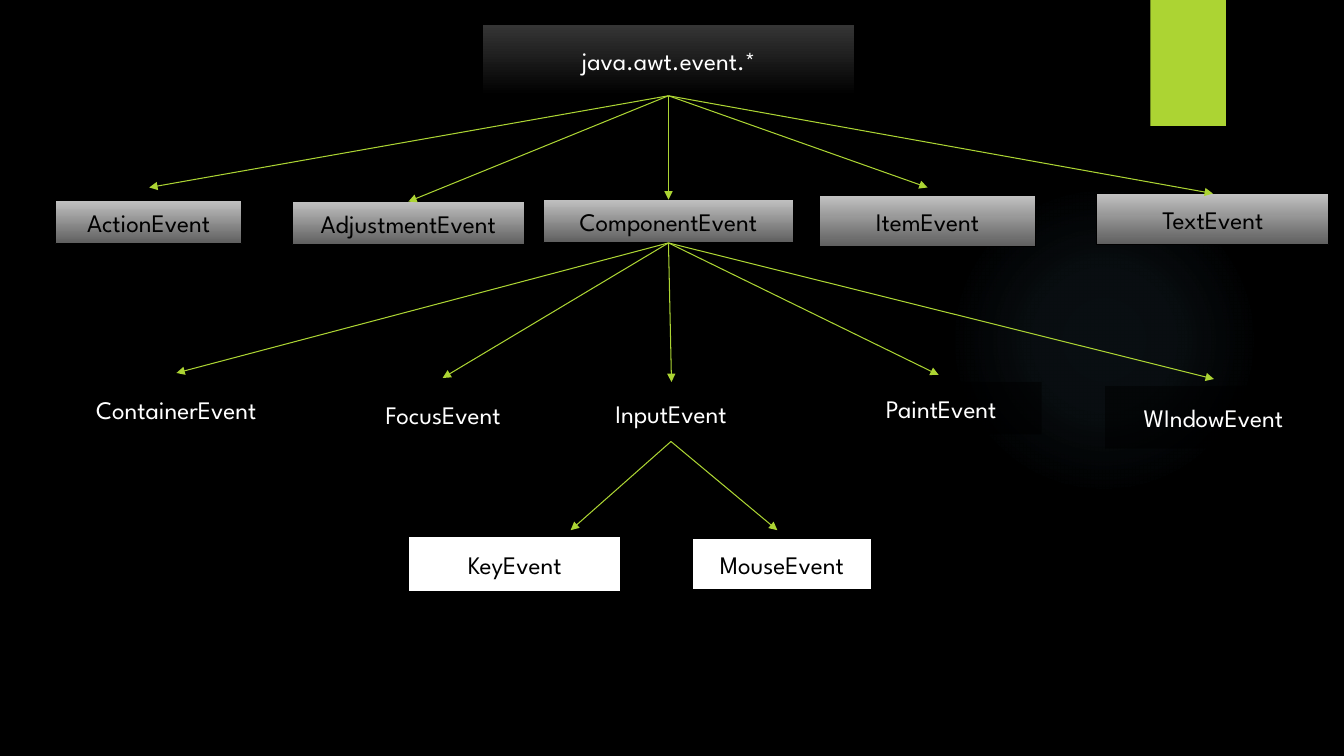
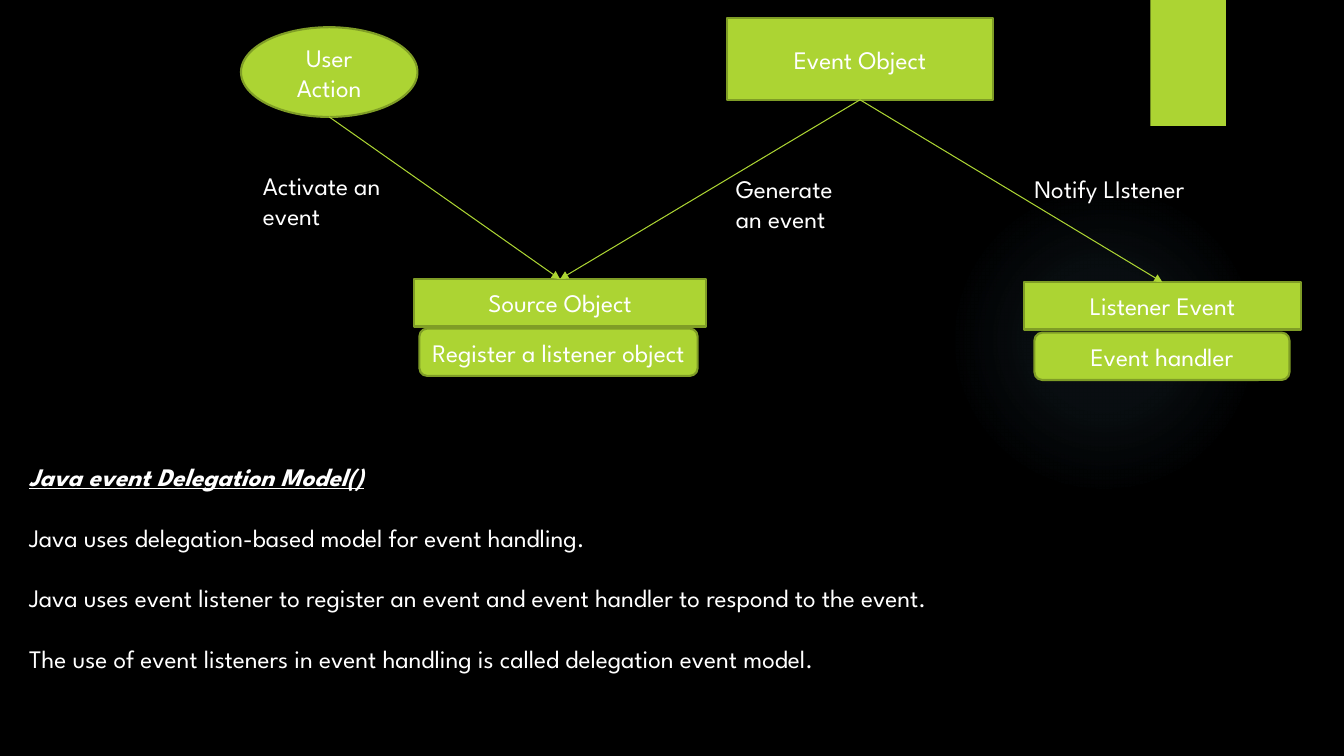
from lxml import etree
from pptx import Presentation
from pptx import util as u
from pptx.dml.color import RGBColor
from pptx.enum import shapes, text
from pptx.oxml import parse_xml
from pptx.oxml.ns import nsdecls, qn

FONT = "League Spartan"
COLORS = {
    "black": "000000", "white": "FFFFFF", "lime": "ACD433", "olive": "7F9D26", "glow": "7AC4F0",
    "charcoal": "353535", "silver": "C1C1C1", "gray": "5E5E5E",
}
KINDS = {
    "rect": shapes.MSO_SHAPE.RECTANGLE,
    "oval": shapes.MSO_SHAPE.OVAL,
    "round": shapes.MSO_SHAPE.ROUNDED_RECTANGLE,
}
STYLES = {
    "root": {"fill": ("charcoal", "black"), "font": "white"},
    "event": {"fill": ("silver", "gray"), "line": ("black", 0.75), "font": "black"},
    "component": {"fill": ("black",), "alpha": 50, "font": "white"},
    "input": {"fill": ("white",), "line": ("black", 1.5), "font": "black"},
    "model": {"fill": ("lime",), "line": ("olive", 1.5), "font": "white"},
    "band": {"fill": ("lime",), "font": "white"},
}
GLOW_BOX = (9.41, 1.83, 3.08, 3.08)
GLOW_STOPS = [(0, 7), (36, 6), (69, 0)]
BAND_BOX = (11.41, 0, 0.75, 1.25)

ROOT = ("java.awt.event.*", (4.79, 0.25, 3.68, 0.7))
TIERS = [
    ("java.awt.event.*", "event", [
        ("ActionEvent", (0.55, 1.99, 1.85, 0.43), (1.48, 1.86)),
        ("AdjustmentEvent", (2.9, 2, 2.3, 0.43), None),
        ("ComponentEvent", (5.39, 1.98, 2.48, 0.43), None),
        ("ItemEvent", (8.13, 1.94, 2.14, 0.51), (9.2, 1.86)),
        ("TextEvent", (10.88, 1.92, 2.3, 0.51), None),
    ]),
    ("ComponentEvent", "component", [
        ("ContainerEvent", (0.58, 3.79, 2.34, 0.55), (1.75, 3.7)),
        ("FocusEvent", (3.47, 3.84, 1.85, 0.55), (4.39, 3.75)),
        ("InputEvent", (5.85, 3.83, 1.61, 0.55), (6.66, 3.79)),
        ("PaintEvent", (8.34, 3.79, 1.99, 0.52), (9.31, 3.72)),
        ("WIndowEvent", (10.96, 3.83, 2.15, 0.62), (12.04, 3.76)),
    ]),
    ("InputEvent", "input", [
        ("KeyEvent", (4.05, 5.32, 2.11, 0.55), (5.66, 5.26)),
        ("MouseEvent", (6.86, 5.34, 1.79, 0.51), (7.71, 5.26)),
    ]),
]

MODEL = [
    ("User Action", "oval", (2.39, 0.27, 1.75, 0.89)),
    ("Event Object", "rect", (7.21, 0.18, 2.64, 0.81)),
    ("Source Object", "rect", (4.11, 2.77, 2.89, 0.47)),
    ("Listener Event", "rect", (10.16, 2.8, 2.74, 0.47)),
    ("Register a listener object", "round", (4.16, 3.26, 2.76, 0.47)),
    ("Event handler", "round", (10.26, 3.3, 2.53, 0.47)),
]
MODEL_ARROWS = [
    ("User Action", "Source Object"),
    ("Event Object", "Source Object"),
    ("Event Object", "Listener Event"),
]
LABELS = [
    ("Activate an event", (2.51, 1.64, 1.51, 0.71)),
    ("Generate an event", (7.2, 1.67, 1.44, 0.71)),
    ("Notify LIstener", (10.16, 1.67, 2.27, 0.4)),
]
NOTES_BOX = (0.19, 4.53, 12.78, 2.52)
NOTES = [
    ("Java event Delegation Model()", {"bold": True, "italic": True, "underline": True}),
    ("Java uses delegation-based model for event handling.", {}),
    ("Java uses event listener to register an event and event handler to respond to the event.", {}),
    ("The use of event listeners in event handling is called delegation event model.", {}),
]


def rgb(name):
    return RGBColor.from_string(COLORS[name])


def inches(box):
    return [u.Inches(v) for v in box]


def write(p, words, color="white", **formats):
    r = p.add_run()
    r.text = words
    r.font.color.rgb = rgb(color)
    for key, value in {"name": FONT, "size": u.Pt(18), **formats}.items():
        setattr(r.font, key, value)


def add_box(s, box, style, words="", kind="rect"):
    look = STYLES[style]
    sp = s.shapes.add_shape(KINDS[kind], *inches(box))
    sp.shadow.inherit = False
    if len(look["fill"]) == 2:
        sp.fill.gradient()
        sp.fill.gradient_angle = 270
        for stop, name in zip(sp.fill.gradient_stops, look["fill"]):
            stop.color.rgb = rgb(name)
    else:
        sp.fill.solid()
        sp.fill.fore_color.rgb = rgb(look["fill"][0])
    if "alpha" in look:
        color = sp.element.spPr.find(".//" + qn("a:srgbClr"))
        etree.SubElement(color, qn("a:alpha")).set("val", str(look["alpha"] * 1000))
    if "line" in look:
        name, width = look["line"]
        sp.line.color.rgb = rgb(name)
        sp.line.width = u.Pt(width)
    else:
        sp.line.fill.background()
    if words:
        tf = sp.text_frame
        tf.vertical_anchor = text.MSO_ANCHOR.MIDDLE
        p = tf.paragraphs[0]
        p.alignment = text.PP_ALIGN.CENTER
        write(p, words, look["font"])
    return sp


def add_text(s, box, lines, gap=0):
    tf = s.shapes.add_textbox(*inches(box)).text_frame
    tf.word_wrap = True
    for i, (words, formats) in enumerate(lines):
        p = tf.add_paragraph() if i else tf.paragraphs[0]
        p.space_before = u.Pt(gap if i else 0)
        write(p, words, **formats)


def add_arrow(s, start, end, tip=None):
    x1, y1 = start.left + start.width // 2, start.top + start.height
    x2, y2 = inches(tip) if tip else (end.left + end.width // 2, end.top)
    c = s.shapes.add_connector(shapes.MSO_CONNECTOR.STRAIGHT, x1, y1, x2, y2)
    if start.auto_shape_type == KINDS["rect"]:
        c.begin_connect(start, 2)
    if not tip:
        c.end_connect(end, 0)
    c.line.color.rgb = rgb("lime")
    c.line.width = u.Pt(0.75)
    spPr = c.element.spPr
    etree.SubElement(spPr.find(qn("a:ln")), qn("a:tailEnd")).set("type", "triangle")
    etree.SubElement(spPr, qn("a:effectLst"))


def add_glow(s):
    sp = add_box(s, GLOW_BOX, "band", kind="oval")
    stops = "".join(
        f'<a:gs pos="{pos * 1000}"><a:srgbClr val="{COLORS["glow"]}">'
        f'<a:alpha val="{alpha * 1000}"/></a:srgbClr></a:gs>'
        for pos, alpha in GLOW_STOPS)
    spPr = sp.element.spPr
    spPr.replace(spPr.find(qn("a:solidFill")), parse_xml(
        f'<a:gradFill {nsdecls("a")}><a:gsLst>{stops}</a:gsLst><a:path path="circle">'
        '<a:fillToRect l="50000" t="50000" r="50000" b="50000"/></a:path></a:gradFill>'))
    return sp


def style_master(master, s):
    fill = master.background.fill
    fill.solid()
    fill.fore_color.rgb = rgb("black")
    for sp in (add_glow(s), add_box(s, BAND_BOX, "band")):
        master.shapes.element.append(sp.element)


def build_hierarchy(s):
    name, box = ROOT
    nodes = {name: add_box(s, box, "root", name)}
    for _, style, children in TIERS:
        for name, box, _ in children:
            nodes[name] = add_box(s, box, style, name)
    for parent, _, children in TIERS:
        for name, _, tip in children:
            add_arrow(s, nodes[parent], nodes[name], tip)


def build_model(s):
    nodes = {name: add_box(s, box, "model", name, kind) for name, kind, box in MODEL}
    for start, end in MODEL_ARROWS:
        add_arrow(s, nodes[start], nodes[end])
    for words, box in LABELS:
        add_text(s, box, [(words, {})])
    add_text(s, NOTES_BOX, NOTES, gap=21.6)


def main():
    prs = Presentation()
    prs.slide_width, prs.slide_height = inches((13.33, 7.5))
    blank = prs.slide_layouts[6]
    hierarchy, model = [prs.slides.add_slide(blank) for _ in range(2)]
    style_master(prs.slide_master, hierarchy)
    build_hierarchy(hierarchy)
    build_model(model)
    prs.save("out.pptx")


if __name__ == "__main__":
    main()
